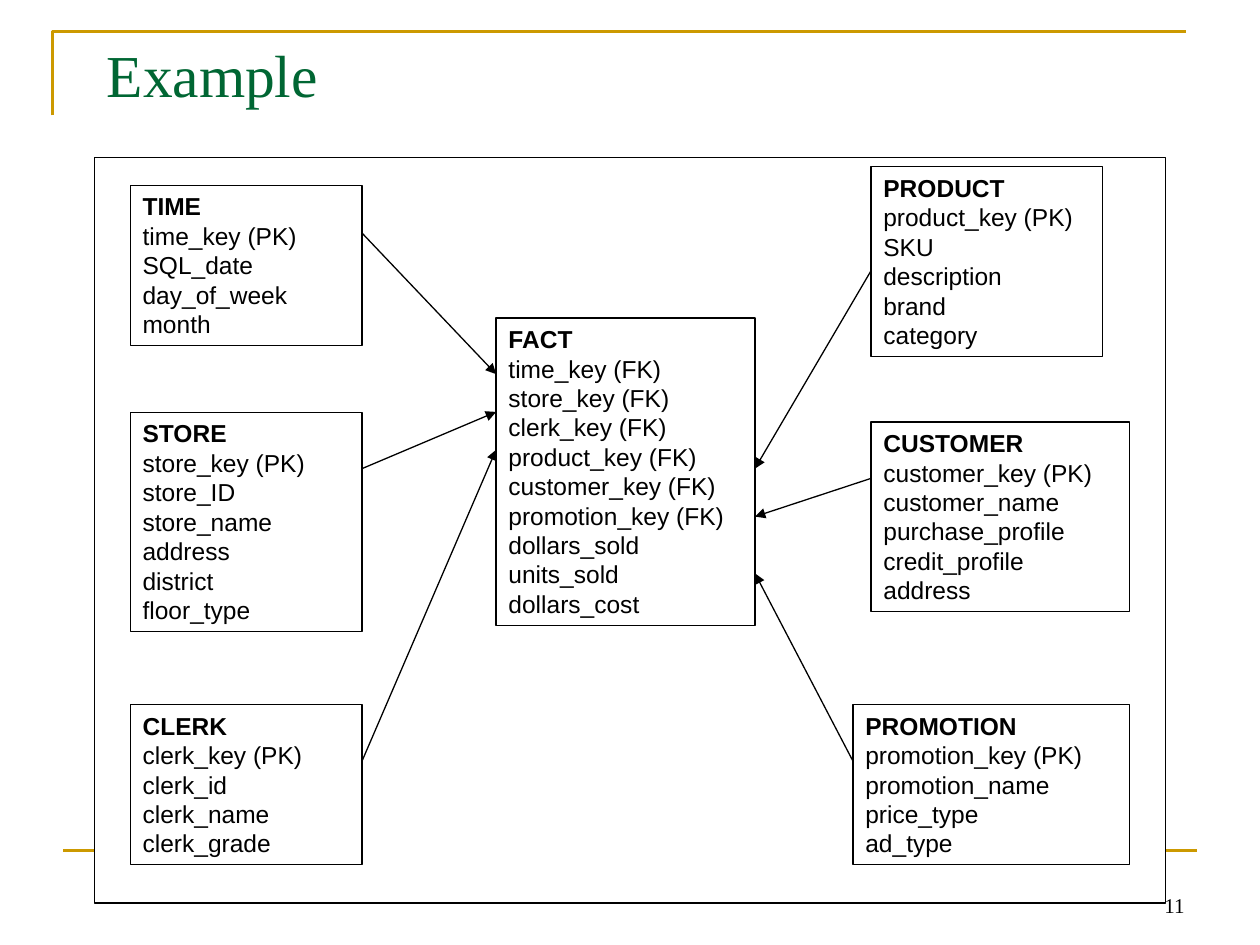
from dataclasses import dataclass

from pptx import Presentation
from pptx.dml.color import RGBColor as Color
from pptx.enum.shapes import MSO_CONNECTOR as Connector, MSO_SHAPE as Shape
from pptx.enum.text import MSO_ANCHOR as Anchor, PP_ALIGN as Align
from pptx.oxml.ns import qn
from pptx.util import Pt
from lxml.etree import SubElement


@dataclass(frozen=True)
class Theme:
    gold: str = "CC9900"
    green: str = "006633"
    black: str = "000000"
    white: str = "FFFFFF"
    serif: str = "Times New Roman"
    sans: str = "Arial"
    title_size: float = 34
    body_size: float = 14
    number_size: float = 12
    rule_width: float = 1.5
    border_width: float = 0.75
    row_height: float = 16.85
    inset_x: float = 7.2
    inset_y: float = 3.6


@dataclass(frozen=True)
class Entity:
    """A table of the star schema, all lengths in points."""
    name: str
    left: float
    top: float
    width: float
    columns: str

    @property
    def right(self) -> float:
        return self.left + self.width

    @property
    def height(self) -> float:
        rows = 1 + len(self.columns.splitlines())
        return rows * THEME.row_height + 2 * THEME.inset_y


@dataclass(frozen=True)
class Link:
    """An arrow from a dimension at start_y to the fact table at end_y."""
    source: Entity
    start_y: float
    end_y: float


THEME = Theme()

FACT = Entity("FACT", 283.5, 181.7, 147.9, """time_key (FK)
store_key (FK)
clerk_key (FK)
product_key (FK)
customer_key (FK)
promotion_key (FK)
dollars_sold
units_sold
dollars_cost""")
TIME = Entity("TIME", 74.4, 105.9, 132.5,
              "time_key (PK)\nSQL_date\nday_of_week\nmonth")
STORE = Entity("STORE", 74.4, 235.6, 132.5,
               "store_key (PK)\nstore_ID\nstore_name\naddress\ndistrict\nfloor_type")
CLERK = Entity("CLERK", 74.4, 402.6, 132.5,
               "clerk_key (PK)\nclerk_id\nclerk_name\nclerk_grade")
PRODUCT = Entity("PRODUCT", 497.7, 95.3, 132.5,
                 "product_key (PK)\nSKU\ndescription\nbrand\ncategory")
CUSTOMER = Entity("CUSTOMER", 497.7, 241.1, 147.7,
                  "customer_key (PK)\ncustomer_name\npurchase_profile\n"
                  "credit_profile\naddress")
PROMOTION = Entity("PROMOTION", 487.4, 402.6, 158.2,
                   "promotion_key (PK)\npromotion_name\nprice_type\nad_type")

ENTITIES = (TIME, STORE, CLERK, PRODUCT, CUSTOMER, PROMOTION, FACT)
LINKS = (
    Link(TIME, 133.2, 213.8),
    Link(STORE, 267.8, 235.4),
    Link(CLERK, 434.9, 257),
    Link(PRODUCT, 154.8, 267.8),
    Link(CUSTOMER, 273.4, 295.2),
    Link(PROMOTION, 434.9, 327.6),
)


def add_span(para, text: str, *, size: float, font: str, color: str = THEME.black,
             bold: bool = False) -> None:
    span = para.add_run()
    span.text = text
    span.font.size = Pt(size)
    span.font.name = font
    span.font.bold = bold
    span.font.color.rgb = Color.from_string(color)


def set_frame(frame, anchor=Anchor.TOP) -> None:
    frame.word_wrap = True
    frame.vertical_anchor = anchor
    frame.margin_left = frame.margin_right = Pt(THEME.inset_x)
    frame.margin_top = frame.margin_bottom = Pt(THEME.inset_y)


def add_label(page, text: str, left: float, top: float, width: float, height: float,
              *, anchor=Anchor.TOP, align=Align.LEFT, **style) -> None:
    box = page.shapes.add_textbox(Pt(left), Pt(top), Pt(width), Pt(height))
    set_frame(box.text_frame, anchor)
    para = box.text_frame.paragraphs[0]
    para.alignment = align
    add_span(para, text, **style)


def set_line(item, color: str, width: float) -> None:
    item.line.color.rgb = Color.from_string(color)
    item.line.width = Pt(width)


def add_box(page, left: float, top: float, width: float, height: float,
            fill: str | None = None):
    box = page.shapes.add_shape(Shape.RECTANGLE, Pt(left), Pt(top), Pt(width), Pt(height))
    box.shadow.inherit = False
    if fill:
        box.fill.solid()
        box.fill.fore_color.rgb = Color.from_string(fill)
    else:
        box.fill.background()
    set_line(box, THEME.black, THEME.border_width)
    return box


def add_entity(page, entity: Entity) -> None:
    box = add_box(page, entity.left, entity.top, entity.width, entity.height)
    frame = box.text_frame
    set_frame(frame)
    for index, text in enumerate((entity.name, *entity.columns.splitlines())):
        para = frame.paragraphs[0] if index == 0 else frame.add_paragraph()
        para.alignment = Align.LEFT
        add_span(para, text, size=THEME.body_size, font=THEME.sans, bold=index == 0)


def add_line(page, start: tuple[float, float], end: tuple[float, float], *,
             color: str = THEME.black, width: float = THEME.border_width,
             arrow: bool = False) -> None:
    line = page.shapes.add_connector(Connector.STRAIGHT, *map(Pt, start + end))
    set_line(line, color, width)
    if arrow:
        SubElement(line.line._get_or_add_ln(), qn("a:tailEnd"), type="triangle")
    SubElement(line._element.spPr, qn("a:effectLst"))


def add_link(page, link: Link) -> None:
    on_left = link.source.left < FACT.left
    start_x = link.source.right if on_left else link.source.left
    end_x = FACT.left if on_left else FACT.right
    add_line(page, (start_x, link.start_y), (end_x, link.end_y), arrow=True)


def add_corner(page) -> None:
    builder = page.shapes.build_freeform(Pt(30), Pt(66))
    builder.add_line_segments([(Pt(30), Pt(18)), (Pt(678), Pt(18))], close=False)
    corner = builder.convert_to_shape()
    corner.shadow.inherit = False
    corner.fill.background()
    set_line(corner, THEME.gold, THEME.rule_width)


def main() -> None:
    deck = Presentation()
    deck.slide_width, deck.slide_height = Pt(720), Pt(540)
    page = deck.slides.add_slide(deck.slide_layouts[6])

    # Gold rules, page number and title
    add_corner(page)
    add_line(page, (36, 486), (684, 486), color=THEME.gold, width=THEME.rule_width)
    add_label(page, "11", 516, 492, 168, 36, anchor=Anchor.BOTTOM, align=Align.RIGHT,
              size=THEME.number_size, font=THEME.serif)
    add_label(page, "Example", 54, 18, 612, 90,
              size=THEME.title_size, font=THEME.serif, color=THEME.green)

    # Star schema: panel, tables, arrows
    add_box(page, 54, 90, 612, 426, fill=THEME.white)
    for entity in ENTITIES:
        add_entity(page, entity)
    for link in LINKS:
        add_link(page, link)

    deck.save("out.pptx")


if __name__ == "__main__":
    main()
